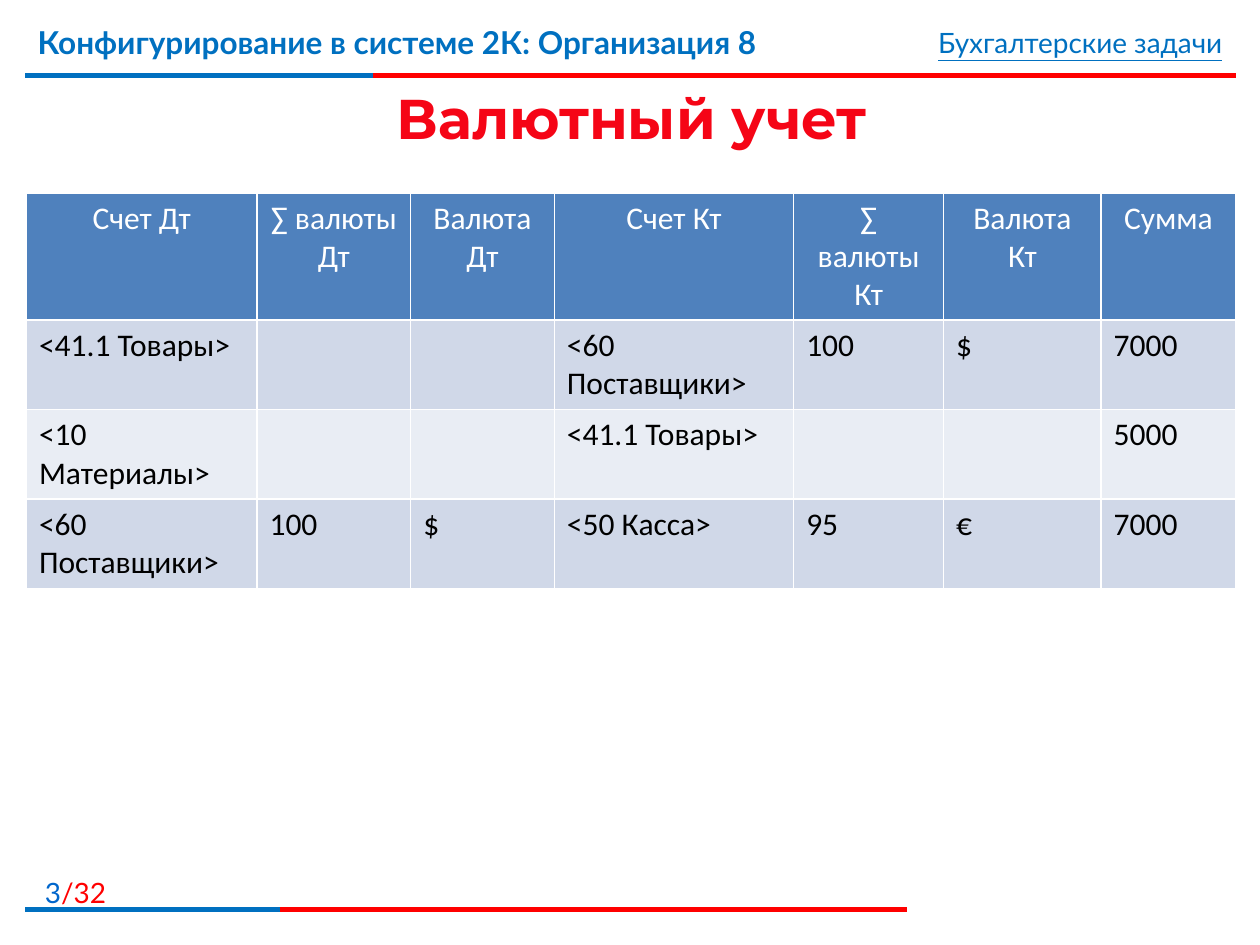
from lxml import etree
from pptx import Presentation
from pptx.dml.color import RGBColor
from pptx.enum.shapes import MSO_CONNECTOR
from pptx.enum.text import MSO_ANCHOR, MSO_AUTO_SIZE, PP_ALIGN
from pptx.oxml import parse_xml
from pptx.oxml.ns import nsdecls, qn
from pptx.util import Inches, Pt

STRAIGHT = MSO_CONNECTOR.STRAIGHT
MIDDLE = MSO_ANCHOR.MIDDLE
NO_AUTOFIT = MSO_AUTO_SIZE.NONE
LEFT, CENTER, RIGHT = PP_ALIGN.LEFT, PP_ALIGN.CENTER, PP_ALIGN.RIGHT

BLUE, RED, WHITE, BLACK = "0070C0", "FF0000", "FFFFFF", "000000"
HEADER_FILL, BAND_FILLS = "4F81BD", ("D0D8E8", "E9EDF4")


def color(hex_string):
    return RGBColor.from_string(hex_string)


def style(span, name, size, hex_string, bold=False, underline=False):
    span.font.name = name
    span.font.size = Pt(size)
    span.font.color.rgb = color(hex_string)
    span.font.bold = bold
    span.font.underline = underline


deck = Presentation()
deck.slide_width, deck.slide_height = Inches(10), Inches(7.5)
page = deck.slides.add_slide(deck.slide_layouts[5])

# Two-colour rules above and below the content
for y, blue_end, red_end in ((0.6, 2.96, 9.81), (7.22, 2.22, 7.2)):
    for end, hex_string in ((red_end, RED), (blue_end, BLUE)):
        rule = page.shapes.add_connector(
            STRAIGHT, Inches(0.2), Inches(y), Inches(end), Inches(y))
        rule.line.color.rgb = color(hex_string)
        rule.line.width = Pt(3)
        etree.SubElement(rule._element.spPr, qn("a:effectLst"))

# Running header and page number: place, alignment, size, bold, underline, spans
labels = (
    ((0.2, 0.13, 7.4, 0.62), LEFT, 18, True, False,
     (("Конфигурирование в системе 2К: Организация 8", BLUE),)),
    ((5.94, 0.15, 3.86, 0.37), RIGHT, 16, False, True,
     (("Бухгалтерские задачи", BLUE),)),
    ((0, 6.9, 0.94, 0.32), RIGHT, 16, False, False,
     (("3", "0066CC"), ("/32", RED))),
)
for place, alignment, size, bold, underline, spans in labels:
    box = page.shapes.add_textbox(*(Inches(length) for length in place))
    box.text_frame.word_wrap = True
    para = box.text_frame.paragraphs[0]
    para.alignment = alignment
    for text, hex_string in spans:
        span = para.add_run()
        span.text = text
        style(span, "Lato", size, hex_string, bold, underline)

title = page.shapes.title
title.left, title.top = Inches(0.21), Inches(0.63)
title.width, title.height = Inches(9.61), Inches(0.6)
title.text_frame.text = "Валютный учет"
title.text_frame.auto_size = NO_AUTOFIT
title.text_frame.vertical_anchor = MIDDLE
para = title.text_frame.paragraphs[0]
para.alignment = CENTER
style(para.runs[0], "Montserrat", 32, "F50516", bold=True)

# Ledger entries
entries = (
    ("Счет Дт", "∑ валюты Дт", "Валюта Дт", "Счет Кт", "∑ валюты Кт",
     "Валюта Кт", "Сумма"),
    ("<41.1 Товары>", "", "", "<60 Поставщики>", "100", "$", "7000"),
    ("<10 Материалы>", "", "", "<41.1 Товары>", "", "", "5000"),
    ("<60 Поставщики>", "100", "$", "<50 Касса>", "95", "€", "7000"),
)
column_widths = (1.83, 1.22, 1.14, 1.9, 1.19, 1.25, 1.07)
row_heights = (1.01, 0.71, 0.71, 0.71)
table = page.shapes.add_table(
    len(entries), len(column_widths), Inches(0.21), Inches(1.53),
    Inches(sum(column_widths)), Inches(sum(row_heights))).table
for column, width in zip(table.columns, column_widths):
    column.width = Inches(width)
for row, height in zip(table.rows, row_heights):
    row.height = Inches(height)

for row_index, entry in enumerate(entries):
    is_header = row_index == 0
    fill = HEADER_FILL if is_header else BAND_FILLS[(row_index - 1) % 2]
    for column_index, text in enumerate(entry):
        cell = table.cell(row_index, column_index)
        properties = cell._tc.get_or_add_tcPr()
        for side in ("lnL", "lnR", "lnT", "lnB"):
            properties.append(parse_xml(
                f'<a:{side} {nsdecls("a")} w="{Pt(1)}"><a:solidFill>'
                f'<a:srgbClr val="{WHITE}"/></a:solidFill></a:{side}>'))
        cell.fill.solid()
        cell.fill.fore_color.rgb = color(fill)
        cell.text_frame.text = text
        para = cell.text_frame.paragraphs[0]
        para.alignment = CENTER if is_header else LEFT
        style(para, "Calibri", 18, WHITE if is_header else BLACK)

deck.save("out.pptx")
